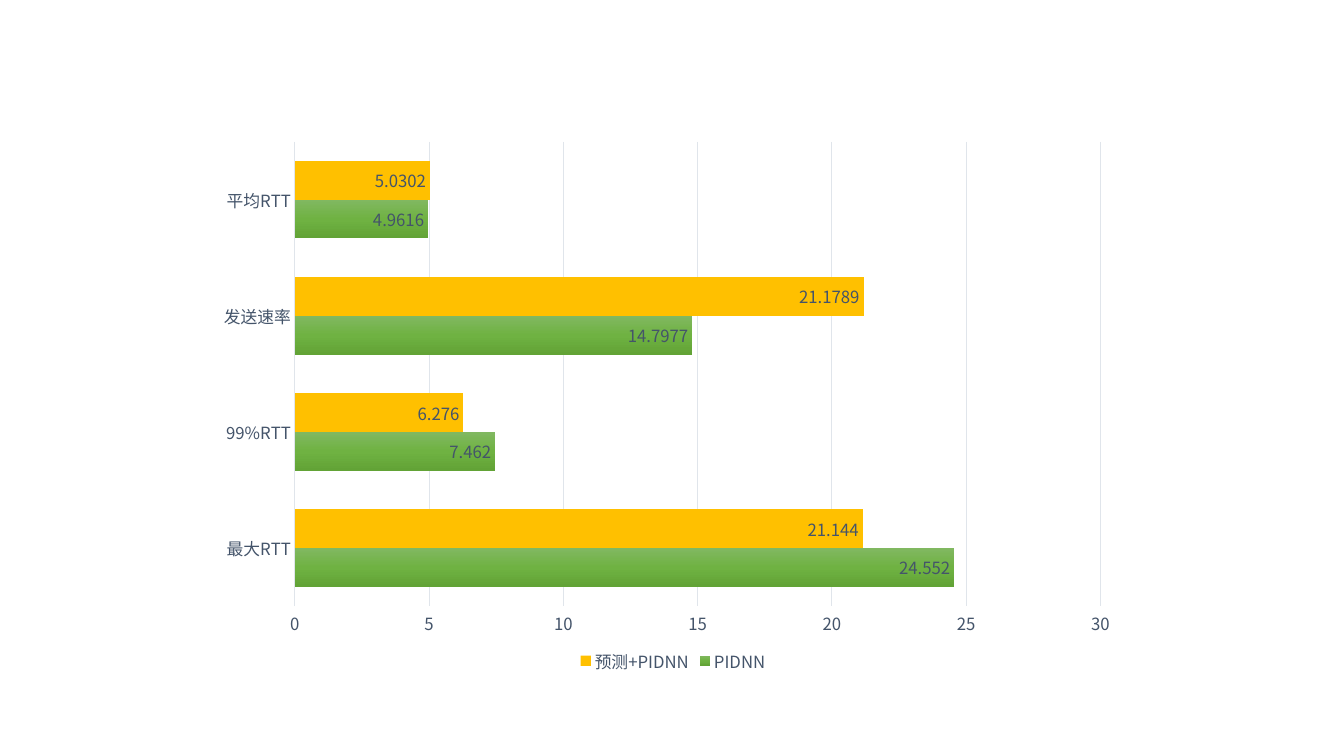
from dataclasses import dataclass

import pptx
import pptx.chart.data
import pptx.dml.color
import pptx.enum.chart
import pptx.oxml
import pptx.oxml.ns
import pptx.util

Inches = pptx.util.Inches
QName = pptx.oxml.ns.qn


@dataclass(frozen=True)
class Theme:
    font: str = "Noto Sans CJK SC"
    text: str = "44546A"
    grid: str = "E0E5EB"
    amber: str = "FFC000"
    greens: tuple = ((0, "81B861"), (50, "6FB242"), (100, "62A336"))
    base_size: int = 10
    chart_size: int = 12
    line_width: float = 0.75


CATEGORIES = ["最大RTT", "99%RTT", "发送速率", "平均RTT"]
SERIES = {
    "PIDNN": (24.552, 7.462, 14.7977, 4.9616),
    "预测+PIDNN": (21.144, 6.276, 21.1789, 5.0302),
}
PLOT_AREA = {"x": 0.077, "y": 0.104, "w": 0.901, "h": 0.777}


class SlideBuilder:
    def __init__(self, slide, theme):
        self.slide = slide
        self.theme = theme

    def color(self, value):
        return pptx.dml.color.RGBColor.from_string(value)

    def style_font(self, font):
        font.name = self.theme.font
        font.size = pptx.util.Pt(self.theme.chart_size)
        font.color.rgb = self.color(self.theme.text)

    def style_line(self, line):
        line.color.rgb = self.color(self.theme.grid)
        line.width = pptx.util.Pt(self.theme.line_width)

    def fill_gradient(self, fill, stops):
        """Fill from top to bottom with any number of (percent, colour) stops."""
        fill.gradient()
        fill.gradient_angle = 270
        stop_list = fill._fill._gradFill.find(QName("a:gsLst"))
        for stop in list(stop_list):
            stop_list.remove(stop)
        for percent, value in stops:
            stop_list.append(pptx.oxml.parse_xml(
                f'<a:gs {pptx.oxml.ns.nsdecls("a")} pos="{percent * 1000}">'
                f'<a:srgbClr val="{value}"/></a:gs>'))

    def place_plot(self, chart, fractions):
        """Fix the inner plot area as fractions of the chart frame."""
        modes = "".join(f'<c:{side}Mode val="edge"/>' for side in "xy")
        sizes = "".join(f'<c:{key} val="{value}"/>' for key, value in fractions.items())
        layout = pptx.oxml.parse_xml(
            f'<c:layout {pptx.oxml.ns.nsdecls("c")}><c:manualLayout>'
            f'<c:layoutTarget val="inner"/>{modes}{sizes}</c:manualLayout></c:layout>')
        plot_area = chart._chartSpace.chart.plotArea
        for old in plot_area.findall(QName("c:layout")):
            plot_area.remove(old)
        plot_area.insert(0, layout)

    def set_east_asian_font(self, chart):
        for latin in list(chart._chartSpace.iter(QName("a:latin"))):
            latin.addnext(pptx.oxml.parse_xml(
                f'<a:ea {pptx.oxml.ns.nsdecls("a")} typeface="{self.theme.font}"/>'))

    def style_axes(self, chart):
        for axis in (chart.category_axis, chart.value_axis):
            axis.major_tick_mark = pptx.enum.chart.XL_TICK_MARK.NONE
            axis.minor_tick_mark = pptx.enum.chart.XL_TICK_MARK.NONE
            self.style_font(axis.tick_labels.font)
        chart.category_axis.has_major_gridlines = False
        self.style_line(chart.category_axis.format.line)

        values = chart.value_axis
        values.minimum_scale, values.maximum_scale, values.major_unit = 0, 30, 5
        values.format.line.fill.background()
        values.has_major_gridlines = True
        self.style_line(values.major_gridlines.format.line)

    def style_series(self, series):
        series.invert_if_negative = False
        labels = series.data_labels
        labels.show_value = True
        labels.position = pptx.enum.chart.XL_LABEL_POSITION.INSIDE_END
        self.style_font(labels.font)

    def add_bar_chart(self, left, top, width, height):
        data = pptx.chart.data.CategoryChartData()
        data.categories = CATEGORIES
        for name, values in SERIES.items():
            data.add_series(name, values)
        chart = self.slide.shapes.add_chart(
            pptx.enum.chart.XL_CHART_TYPE.BAR_CLUSTERED,
            Inches(left), Inches(top), Inches(width), Inches(height), data).chart
        chart.has_title = False
        chart.font.name = self.theme.font
        chart.font.size = pptx.util.Pt(self.theme.base_size)

        plot = chart.plots[0]
        plot.gap_width = 100
        plot.overlap = 0
        plot.vary_by_categories = False
        for series in plot.series:
            self.style_series(series)
        pidnn, predicted = plot.series
        self.fill_gradient(pidnn.format.fill, self.theme.greens)
        predicted.format.fill.solid()
        predicted.format.fill.fore_color.rgb = self.color(self.theme.amber)

        self.style_axes(chart)
        chart.has_legend = True
        chart.legend.position = pptx.enum.chart.XL_LEGEND_POSITION.BOTTOM
        chart.legend.include_in_layout = False
        self.style_font(chart.legend.font)
        self.place_plot(chart, PLOT_AREA)
        self.set_east_asian_font(chart)


def main():
    deck = pptx.Presentation()
    deck.slide_width = Inches(13.33)
    deck.slide_height = Inches(7.5)
    slide = deck.slides.add_slide(deck.slide_layouts[6])
    SlideBuilder(slide, Theme()).add_bar_chart(2.22, 0.79, 8.89, 5.93)
    deck.save("out.pptx")


if __name__ == "__main__":
    main()
